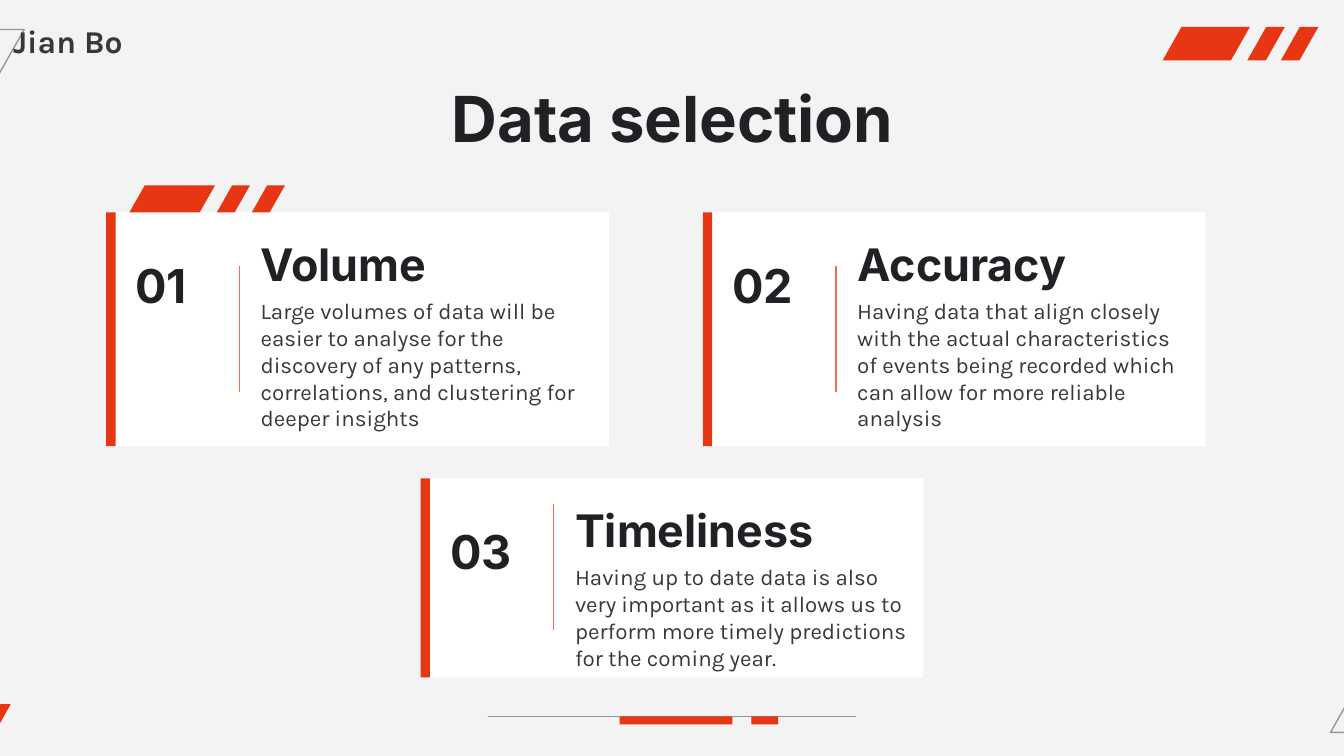
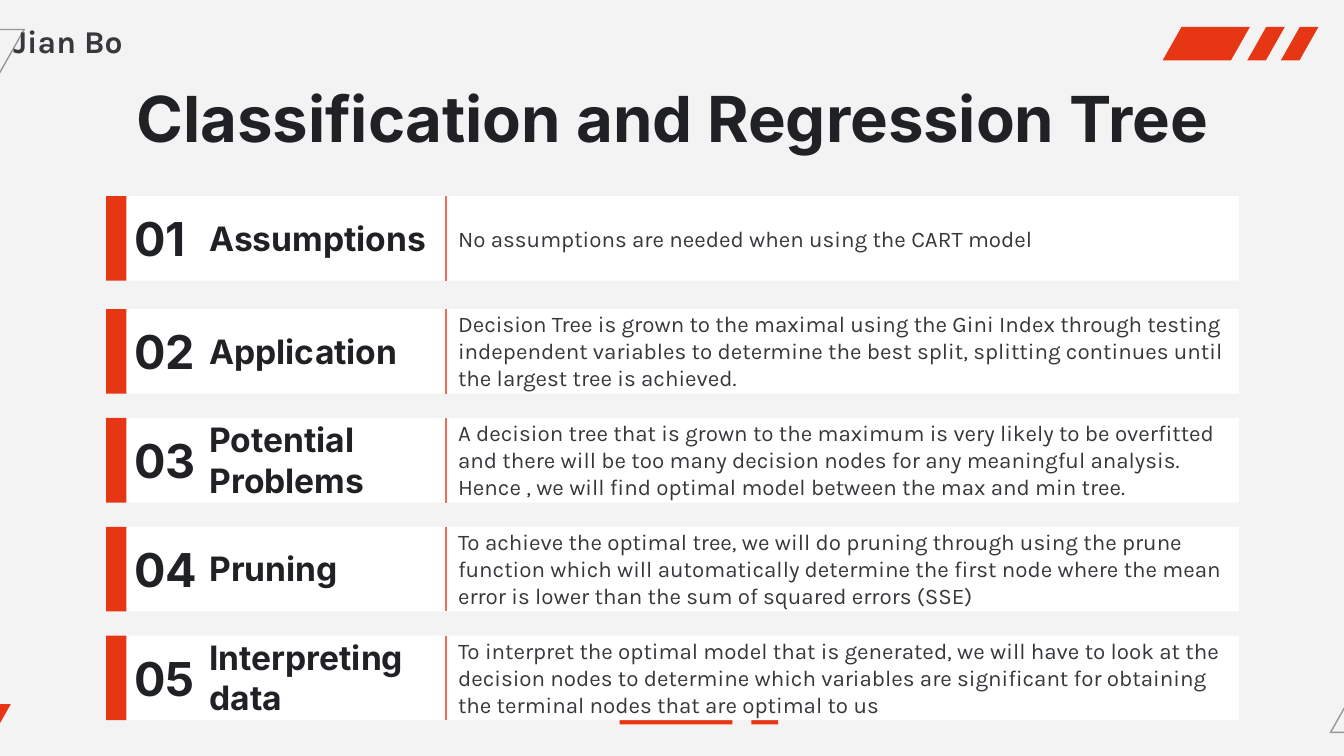
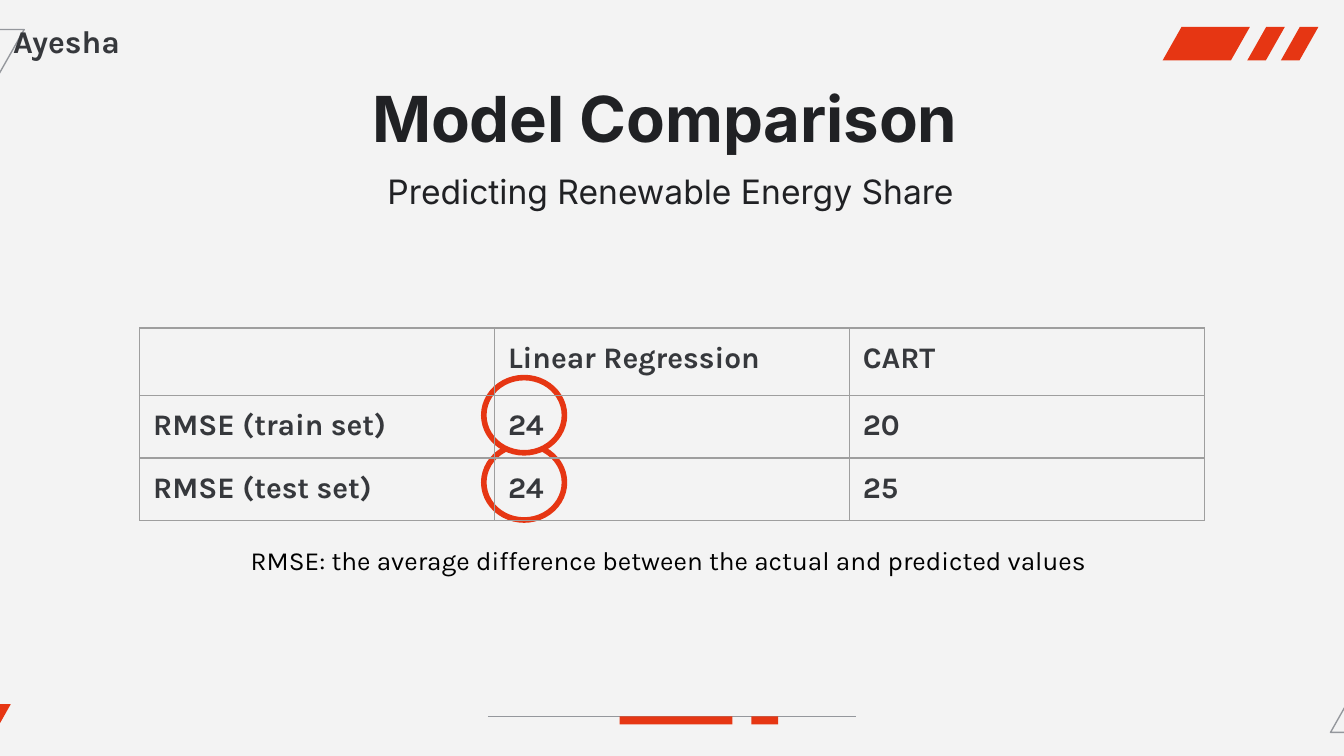
from lxml import etree
from pptx import Presentation
from pptx.dml.color import RGBColor
from pptx.enum.shapes import MSO_CONNECTOR, MSO_SHAPE
from pptx.enum.text import MSO_ANCHOR, PP_ALIGN
from pptx.oxml.ns import qn
from pptx.util import Emu, Pt

PX = 9144  # 100 px to the inch
WIDE, HIGH = 1000, 562.5
RECT, OVAL, SLANT = MSO_SHAPE.RECTANGLE, MSO_SHAPE.OVAL, MSO_SHAPE.PARALLELOGRAM
STRAIGHT = MSO_CONNECTOR.STRAIGHT
TOP, MIDDLE = MSO_ANCHOR.TOP, MSO_ANCHOR.MIDDLE
LEFT, CENTER = PP_ALIGN.LEFT, PP_ALIGN.CENTER
HEAD, BODY = "Inter", "Karla"
COLORS = {
    "back": "F3F3F3", "card": "FFFFFF", "red": "E63613", "rule": "F06C52",
    "gray": "94979C", "grid": "9E9E9E", "head": "202124", "body": "36383C",
    "black": "000000",
}

CARDS = [
    # box, top of the rule inside it, number, heading, text
    ((79, 158, 374, 174), 40, "01", "Volume",
     "Large volumes of data will be easier to analyse for the discovery of any "
     "patterns, correlations, and clustering for deeper insights"),
    ((523, 158, 374, 174), 40, "02", "Accuracy",
     "Having data that align closely with the actual characteristics of events "
     "being recorded which can allow for more reliable analysis"),
    ((313, 356, 374, 148), 19, "03", "Timeliness",
     "Having up to date data is also very important as it allows us to perform "
     "more timely predictions for the coming year."),
]
STEPS = [
    # heading, height of the text box, text
    ("Assumptions", 40, "No assumptions are needed when using the CART model"),
    ("Application", 81,
     "Decision Tree is grown to the maximal using the Gini Index through testing "
     "independent variables to determine the best split, splitting continues "
     "until the largest tree is achieved."),
    ("Potential Problems", 81,
     "A decision tree that is grown to the maximum is very likely to be overfitted "
     "and there will be too many decision nodes for any meaningful analysis. "
     "Hence , we will find optimal model between the max and min tree."),
    ("Pruning", 81,
     "To achieve the optimal tree, we will do pruning through using the prune "
     "function which will automatically determine the first node where the mean "
     "error is lower than the sum of squared errors (SSE)"),
    ("Interpreting data", 81,
     "To interpret the optimal model that is generated, we will have to look at the "
     "decision nodes to determine which variables are significant for obtaining "
     "the terminal nodes that are optimal to us"),
]
SCORES = [
    ("", "Linear Regression", "CART"),
    ("RMSE (train set)", "24", "20"),
    ("RMSE (test set)", "24", "25"),
]


def emu(*sizes):
    return [Emu(round(size * PX)) for size in sizes]


def rgb(name):
    return RGBColor.from_string(COLORS[name])


def add_form(slide, kind, box, fill=None, line=None, width=0.75):
    form = slide.shapes.add_shape(kind, *emu(*box))
    form.shadow.inherit = False
    if kind == SLANT:
        form.adjustments[0] = 0.566
    if fill:
        form.fill.solid()
        form.fill.fore_color.rgb = rgb(fill)
    else:
        form.fill.background()
    if line:
        form.line.color.rgb = rgb(line)
        form.line.width = Pt(width)
    else:
        form.line.fill.background()


def add_line(slide, x1, y1, x2, y2, color):
    line = slide.shapes.add_connector(STRAIGHT, *emu(x1, y1, x2, y2))
    line.line.color.rgb = rgb(color)
    line.line.width = Pt(0.75)
    etree.SubElement(line._element.spPr, qn("a:effectLst"))


def set_text(frame, text, size, face, color, bold=False, align=LEFT):
    frame.word_wrap = True
    para = frame.paragraphs[0]
    para.text = text
    para.alignment = align
    font = para.font
    font.size, font.name, font.bold = Pt(size), face, bold
    font.color.rgb = rgb(color)


def add_text(slide, box, text, size, face=BODY, color="body", bold=False,
             align=LEFT, anchor=TOP):
    frame = slide.shapes.add_textbox(*emu(*box)).text_frame
    (frame.margin_left, frame.margin_top,
     frame.margin_right, frame.margin_bottom) = emu(10, 10, 10, 10)
    frame.vertical_anchor = anchor
    set_text(frame, text, size, face, color, bold, align)


def add_head(slide, box, text, size, **look):
    add_text(slide, box, text, size, HEAD, "head", True, **look)


def add_slashes(slide, x, y, wide, high, gaps):
    """One wide slanted bar and two narrow ones, at the given offsets."""
    for dx, width in zip((0, *gaps), (wide, 28, 28)):
        add_form(slide, SLANT, (x + dx, y, width, high), "red")


def add_frame(deck, title, author, rule=True):
    """New slide with its background, edge shapes, title and author."""
    slide = deck.slides.add_slide(deck.slide_layouts[6])
    slide.background.fill.solid()
    slide.background.fill.fore_color.rgb = rgb("back")
    for x, y in ((990, 485), (-48, 22)):
        add_form(slide, SLANT, (x, y, 66, 60), line="gray")
    add_form(slide, SLANT, (-52, 524, 60, 54), "red")
    add_slashes(slide, 865, 20, 65, 25, (63, 88))
    if rule:
        add_line(slide, 363, 533, 637, 533, "gray")
    for x, width in ((461, 84), (559, 20)):
        add_form(slide, RECT, (x, 533, width, 6), "red")
    add_head(slide, (79, 49, 843, 63), title, 34, align=CENTER)
    add_text(slide, (0, 6, 114, 47), author, 17, bold=True)
    return slide


def add_panel(slide, box, edge):
    x, y, _, h = box
    add_form(slide, RECT, box, "card")
    add_form(slide, RECT, (x, y, edge, h), "red")


def add_card(slide, box, drop, number, head, text):
    x, y, w, h = box
    add_panel(slide, box, 7)
    add_line(slide, x + 99, y + drop, x + 99, y + drop + 94, "rule")
    add_head(slide, (x + 105, y + 8, w - 105, 58), head, 24)
    add_text(slide, (x + 105, y + 53, w - 105, h - 53), text, 12)
    add_head(slide, (x + 12, y + 23, 82, 34), number, 25)


def add_step(slide, box, number, head, high, text):
    x, y, w, h = box
    add_panel(slide, box, 15)
    add_line(slide, x + 253, y, x + 253, y + h, "rule")
    add_head(slide, (x + 67, y + 2, 185, 58), head, 18, anchor=MIDDLE)
    add_head(slide, (x + 11, y, 68, 62), number, 25, anchor=MIDDLE)
    add_text(slide, (x + 252, y + (h - high) / 2, w - 252, high), text, 12)


def set_cell(cell, text):
    (cell.margin_left, cell.margin_top,
     cell.margin_right, cell.margin_bottom) = emu(10, 10, 10, 10)
    props = cell._tc.get_or_add_tcPr()
    for side in ("lnL", "lnR", "lnT", "lnB"):
        edge = etree.SubElement(props, qn("a:" + side), w=str(Pt(0.75)))
        fill = etree.SubElement(edge, qn("a:solidFill"))
        etree.SubElement(fill, qn("a:srgbClr"), val=COLORS["grid"])
    cell.fill.background()
    if text:
        set_text(cell.text_frame, text, 16, BODY, "body", True)


def add_scores(slide, x, y, wide, high):
    size = emu(x, y, wide * len(SCORES[0]), high * len(SCORES))
    table = slide.shapes.add_table(len(SCORES), len(SCORES[0]), *size).table
    table.first_row = table.horz_banding = False
    for r, row in enumerate(SCORES):
        for c, text in enumerate(row):
            set_cell(table.cell(r, c), text)


def build_select(deck):
    slide = add_frame(deck, "Data selection", "Jian Bo")
    add_slashes(slide, 93, 138, 67, 26, (65, 91))
    for card in CARDS:
        add_card(slide, *card)


def build_tree(deck):
    slide = add_frame(deck, "Classification and Regression Tree", "Jian Bo", rule=False)
    tops = (146, *range(230, 474, 81))
    for i, (top, step) in enumerate(zip(tops, STEPS), 1):
        add_step(slide, (79, top, 843, 63), f"{i:02}", *step)


def build_compare(deck):
    slide = add_frame(deck, "Model Comparison ", "Ayesha")
    for y in (331, 281):
        add_form(slide, OVAL, (360, y, 60, 56), "back", "red", 3)
    add_text(slide, (278, 117, 442, 50), "Predicting Renewable Energy Share", 18,
             HEAD, "head", align=CENTER)
    add_scores(slide, 104, 244, 264, 42)
    add_text(slide, (104, 395, 792, 44),
             "RMSE: the average difference between the actual and predicted values ",
             14, color="black", align=CENTER)


def main():
    deck = Presentation()
    deck.slide_width, deck.slide_height = emu(WIDE, HIGH)
    build_select(deck)
    build_tree(deck)
    build_compare(deck)
    deck.save("out.pptx")


if __name__ == "__main__":
    main()
